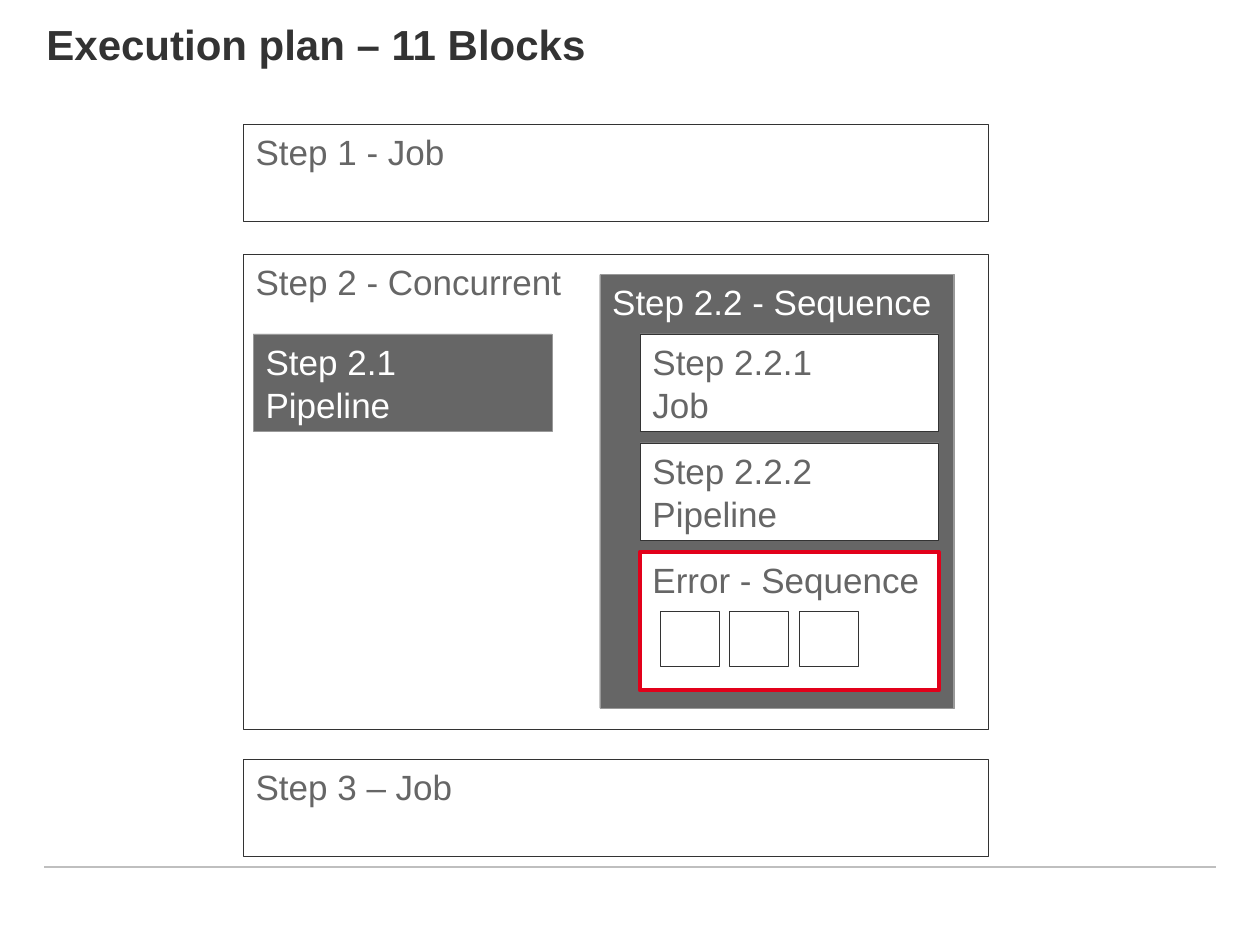
from lxml import etree
from pptx import Presentation
from pptx.dml.color import RGBColor
from pptx.enum import shapes, text
from pptx.oxml import ns
from pptx.util import Inches, Pt

WHITE = RGBColor(0xFF, 0xFF, 0xFF)
DARK = RGBColor(0x33, 0x33, 0x33)
GREY = RGBColor(0x66, 0x66, 0x66)
MID = RGBColor(0x99, 0x99, 0x99)
RULE = RGBColor(0xBF, 0xBF, 0xBF)
RED = RGBColor(0xE2, 0x00, 0x1A)

TITLE = "Execution plan – 11 Blocks"
LEFT, WIDTH, STEP_H = 1.93, 5.91, 0.77      # full-width steps
NEST_X, NEST_Y, NEST_W = 5.08, 2.65, 2.37   # blocks inside the sequence
NEST_PITCH = 0.865

LIGHT = dict(fill=WHITE, line=DARK, color=GREY)
SOLID = dict(fill=GREY, line=MID, color=WHITE)
ERROR = dict(fill=WHITE, line=RED, color=GREY, weight=2.24)

# lines of text, (left, top, width, height), style; back to front
STEPS = [
    (["Step 1 - Job"], (LEFT, 0.99, WIDTH, STEP_H), LIGHT),
    (["Step 2 - Concurrent"], (LEFT, 2.02, WIDTH, 3.77), LIGHT),
    (["Step 3 – Job"], (LEFT, 6.03, WIDTH, STEP_H), LIGHT),
    (["Step 2.1", "Pipeline"], (2.01, NEST_Y, NEST_W, STEP_H), SOLID),
    (["Step 2.2 - Sequence"], (4.76, 2.18, 2.81, 3.44), SOLID),
]
NESTED = [["Step 2.2.1", "Job"], ["Step 2.2.2", "Pipeline"]]
ERROR_TEXT, ERROR_H = ["Error - Sequence"], 1.1
ERROR_STEPS, ERROR_PITCH = 3, 0.55


def write(tf, lines, size=20, color=GREY, bold=False):
    """Fill a text frame with one top-left aligned paragraph per line."""
    tf.word_wrap = True
    tf.vertical_anchor = text.MSO_ANCHOR.TOP
    for i, line in enumerate(lines):
        p = tf.add_paragraph() if i else tf.paragraphs[0]
        p.alignment = text.PP_ALIGN.LEFT
        p.space_before = Pt(1 if i else 0)
        r = p.add_run()
        r.text = line
        r.font.name, r.font.size, r.font.bold = "Arial", Pt(size), bold
        r.font.color.rgb = color


def add_block(parent, lines, box, fill, line, color, weight=0.26):
    """Add an outlined rectangle with its label to a slide or group."""
    sp = parent.shapes.add_shape(shapes.MSO_SHAPE.RECTANGLE, *map(Inches, box))
    sp.shadow.inherit = False
    sp.fill.solid()
    sp.fill.fore_color.rgb = fill
    sp.line.color.rgb = line
    sp.line.width = Pt(weight)
    write(sp.text_frame, lines, color=color)


def add_rule(slide, x1, x2, y):
    """Add the thin horizontal line above the footer."""
    line = slide.shapes.add_connector(
        shapes.MSO_CONNECTOR.STRAIGHT, *map(Inches, (x1, y, x2, y)))
    line.line.color.rgb = RULE
    line.line.width = Pt(0.74)
    etree.SubElement(line._element.spPr, ns.qn("a:effectLst"))


def build():
    """Build and save the slide."""
    prs = Presentation()
    prs.slide_width, prs.slide_height = Inches(10), Inches(7.5)
    slide = prs.slides.add_slide(prs.slide_layouts[6])

    add_rule(slide, 0.35, 9.65, 6.88)
    title = slide.shapes.add_textbox(*map(Inches, (0.27, 0.1, 9.45, 0.5)))
    write(title.text_frame, [TITLE], size=24, color=DARK, bold=True)

    for lines, box, style in STEPS:
        add_block(slide, lines, box, **style)
    for i, lines in enumerate(NESTED):
        box = (NEST_X, NEST_Y + i * NEST_PITCH, NEST_W, STEP_H)
        add_block(slide, lines, box, **LIGHT)

    group = slide.shapes.add_group_shape()
    error_y = NEST_Y + len(NESTED) * NEST_PITCH
    add_block(group, ERROR_TEXT, (NEST_X, error_y, NEST_W, ERROR_H), **ERROR)
    for i in range(ERROR_STEPS):
        box = (NEST_X + 0.16 + i * ERROR_PITCH, error_y + 0.47, 0.47, 0.44)
        add_block(group, [], box, **LIGHT)

    prs.save("out.pptx")


build()
